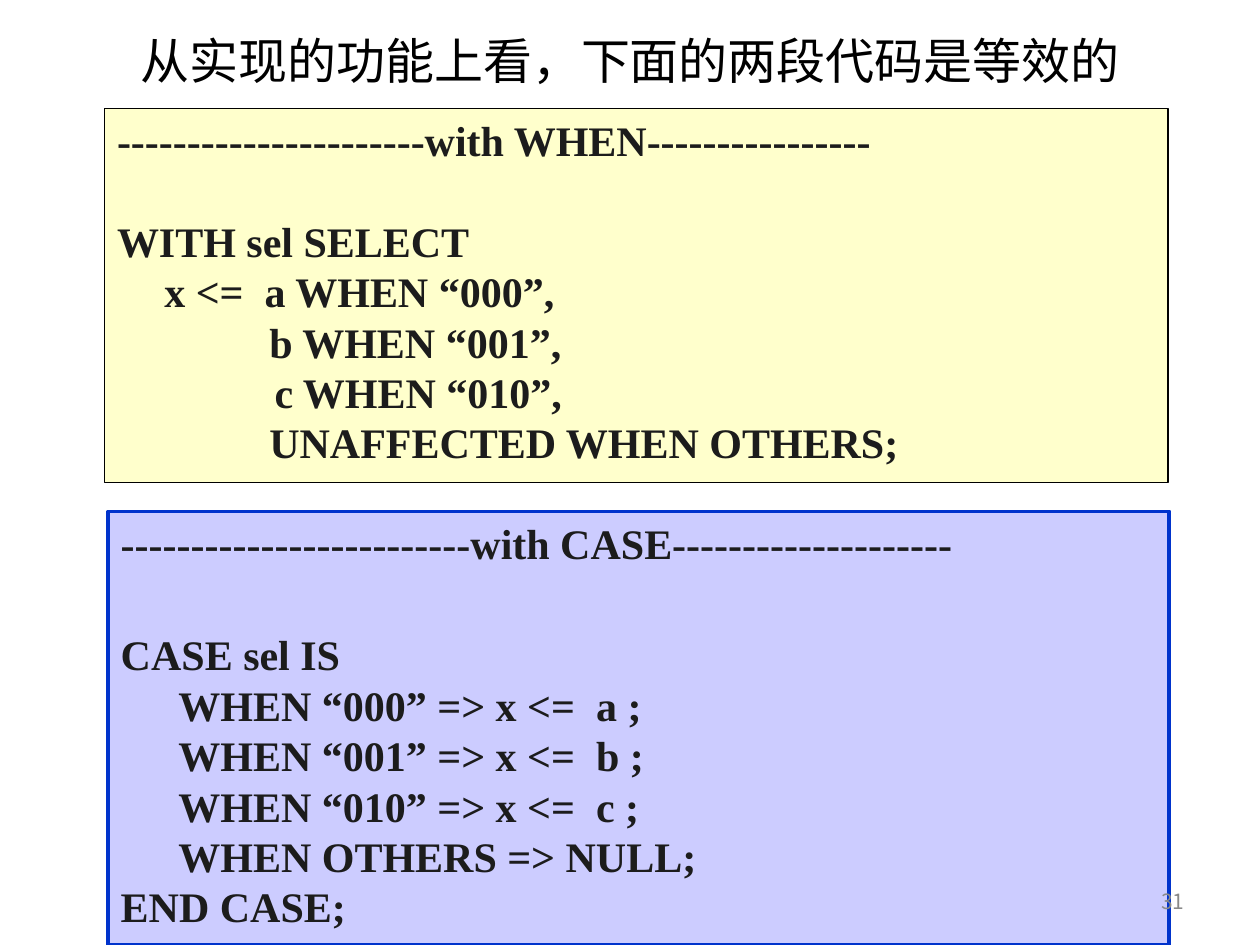
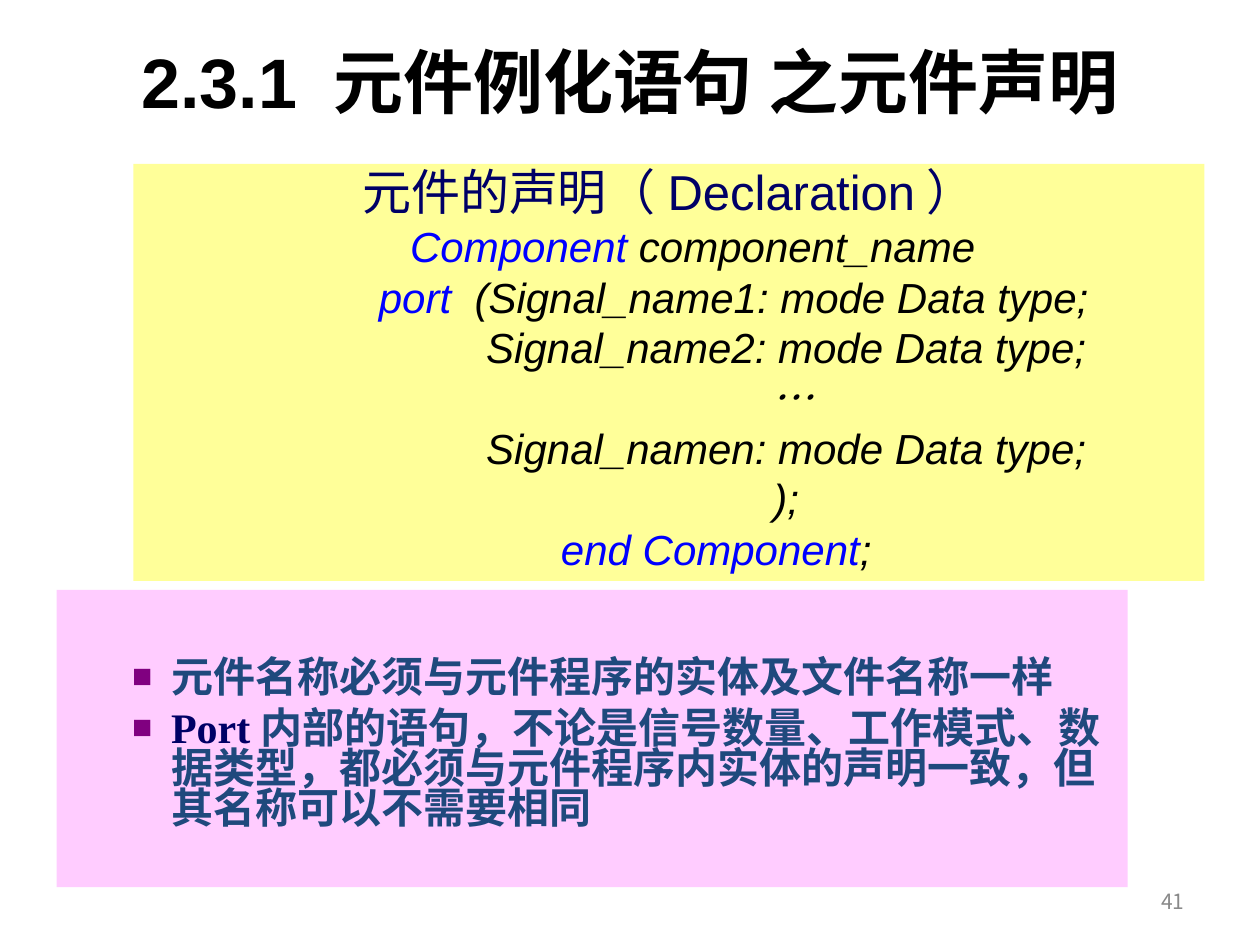
from pptx import Presentation
from pptx.dml.color import RGBColor
from pptx.enum.shapes import MSO_SHAPE
from pptx.enum.text import MSO_ANCHOR, MSO_AUTO_SIZE, PP_ALIGN
from pptx.oxml.ns import qn
from pptx.util import Pt
from lxml.etree import SubElement


class Theme:
    sans, serif, cjk = "Arial", "Times New Roman", "Noto Sans CJK SC"
    black, code, grey = "000000", "1C1C1C", "898989"
    navy, keyword, note, bullet = "000066", "0000FF", "1F497D", "800080"
    cream, lilac, yellow, pink = "FFFFCC", "CCCCFF", "FFFF99", "FFCCFF"
    frame = "0033CC"
    section, heading, body, number = 40, 28, 24, 12
    line_height, tight = 28.8, 23   # exact line spacing
    inset_x, inset_y = 7.2, 3.6


T = Theme

# ---- Content: code lines are (text, indent, space before) ----
SAME_CODE = dict(title="从实现的功能上看，下面的两段代码是等效的", number="31")
CASE_CODE = [
    ("-" * 25 + "with CASE" + "-" * 20, 0, 0),
    ("CASE sel IS", 0, T.line_height + 6),
    ("WHEN “000” => x <=  a ;", 33, 0),
    ("WHEN “001” => x <=  b ;", 33, 0),
    ("WHEN “010” => x <=  c ;", 33, 0),
    ("WHEN OTHERS => NULL;", 33, 0),
    ("END CASE;", 0, 0),
]
WHEN_CODE = [
    ("-" * 22 + "with WHEN" + "-" * 16, 0, 0),
    ("WITH sel SELECT", 0, T.line_height),
    ("x <=  a WHEN “000”,", 27, 0),
    ("b WHEN “001”,", 87, 0),
    ("c WHEN “010”,", 90, 0),
    ("UNAFFECTED WHEN OTHERS;", 87, 0),
]

DECLARATION = dict(title="2.3.1 元件例化语句 之元件声明", number="41")
SYNTAX_HEAD = "元件的声明（Declaration）"
# (indent, [(text, colour)])
SYNTAX = [
    (27, [("Component ", T.keyword), ("component_name", T.black)]),
    (74, [("port ", T.keyword), (" (Signal_name1: mode Data type;", T.black)]),
    (134, [("Signal_name2: mode Data type;", T.black)]),
    (140, [("…", T.black)]),
    (134, [("Signal_namen: mode Data type;", T.black)]),
    (134, [(");", T.black)]),
    (54, [("end Component", T.keyword), (";", T.black)]),
]
RULES = [
    [("元件名称必须与元件程序的实体及文件名称一样", T.note)],
    [("Port", T.navy),
     ("内部的语句，不论是信号数量、工作模式、数据类型，都必须与元件程序内实体的"
      "声明一致，但其名称可以不需要相同", T.note)],
]

# ---- Places: left, top, width, height ----
CASE_BOX = (61.9, 292.3, 606.2, 247.7)
WHEN_BOX = (59.8, 61.9, 607.7, 213.8)
SYNTAX_BOX = (76.3, 93.6, 612, 238.3)
RULES_BOX = (32.4, 337, 612, 170)
NUMBER_BOX = (516.2, 500.4, 167.8, 28.8)


# ---- Helpers ----
def rgb(value):
    return RGBColor.from_string(value)


def set_frame(tf, anchor, top=T.inset_y):
    tf.word_wrap = True
    tf.auto_size = MSO_AUTO_SIZE.NONE
    tf.vertical_anchor = anchor
    tf.margin_left = tf.margin_right = Pt(T.inset_x)
    tf.margin_top, tf.margin_bottom = Pt(top), Pt(T.inset_y)


def add_run(p, text, size, color, font=T.sans, bold=False, italic=False):
    r = p.add_run()
    r.text = text
    f = r.font
    f.name, f.size, f.bold, f.italic = font, Pt(size), bold, italic
    f.color.rgb = rgb(color)
    SubElement(r._r.get_or_add_rPr(), qn("a:ea")).set("typeface", T.cjk)


def add_paragraph(tf, first, align, indent=0, hanging=0, before=0, line=None):
    p = tf.paragraphs[0] if first else tf.add_paragraph()
    p.alignment = align
    p.space_before, p.space_after = Pt(before), Pt(0)
    if line:
        p.line_spacing = Pt(line)
    pPr = p._p.get_or_add_pPr()
    pPr.set("marL", str(int(Pt(indent))))
    pPr.set("indent", str(int(Pt(-hanging))))
    return p


def add_bullet(p):
    pPr = p._p.get_or_add_pPr()
    color = SubElement(pPr, qn("a:buClr"))
    SubElement(color, qn("a:srgbClr")).set("val", T.bullet)
    SubElement(pPr, qn("a:buSzPct")).set("val", "80000")
    SubElement(pPr, qn("a:buFont")).set("typeface", T.sans)
    SubElement(pPr, qn("a:buChar")).set("char", "■")


def add_panel(s, box, fill, line=None, width=0, top=T.inset_y):
    sp = s.shapes.add_shape(MSO_SHAPE.RECTANGLE, *map(Pt, box))
    sp.shadow.inherit = False
    sp.fill.solid()
    sp.fill.fore_color.rgb = rgb(fill)
    if line:
        sp.line.color.rgb = rgb(line)
        sp.line.width = Pt(width)
    else:
        sp.line.fill.background()
    set_frame(sp.text_frame, MSO_ANCHOR.TOP, top)
    return sp.text_frame


def add_code(tf, lines):
    for i, (text, indent, before) in enumerate(lines):
        p = add_paragraph(tf, i == 0, PP_ALIGN.JUSTIFY, indent,
                          before=before, line=T.line_height)
        add_run(p, text, T.body, T.code, T.serif, bold=True)


def add_slide(prs, content, top, height, size, bold=False):
    s = prs.slides.add_slide(prs.slide_layouts[5])
    title = s.shapes.title
    title.left, title.top, title.width, title.height = map(
        Pt, (36, top, 648, height))
    set_frame(title.text_frame, MSO_ANCHOR.MIDDLE)
    p = add_paragraph(title.text_frame, True, PP_ALIGN.CENTER)
    add_run(p, content["title"], size, T.black, bold=bold)

    tf = s.shapes.add_textbox(*map(Pt, NUMBER_BOX)).text_frame
    set_frame(tf, MSO_ANCHOR.MIDDLE)
    p = add_paragraph(tf, True, PP_ALIGN.RIGHT)
    add_run(p, content["number"], T.number, T.grey, T.cjk)
    # The number stays in front of the panels
    return s, tf._txBody.getparent()


def bring_to_front(s, element):
    s.shapes._spTree.append(element)


prs = Presentation()
prs.slide_width, prs.slide_height = Pt(720), Pt(540)

# ---- Two equivalent pieces of code ----
s, number = add_slide(prs, SAME_CODE, -10.8, 90, T.heading)
add_code(add_panel(s, CASE_BOX, T.lilac, T.frame, 2.24), CASE_CODE)
add_code(add_panel(s, WHEN_BOX, T.cream, T.black, 0.74), WHEN_CODE)
bring_to_front(s, number)

# ---- Component declaration ----
s, number = add_slide(prs, DECLARATION, 9.4, 73.4, T.section, bold=True)
tf = add_panel(s, RULES_BOX, T.pink, top=40.6)
for i, runs in enumerate(RULES):
    p = add_paragraph(tf, i == 0, PP_ALIGN.LEFT, 58.3, 22.3,
                      before=6 if i else 0, line=T.tight)
    add_bullet(p)
    for text, color in runs:
        add_run(p, text, T.body, color, T.serif, bold=True)

tf = add_panel(s, SYNTAX_BOX, T.yellow)
p = add_paragraph(tf, True, PP_ALIGN.CENTER, line=29)
add_run(p, SYNTAX_HEAD, T.heading, T.navy)
for indent, runs in SYNTAX:
    p = add_paragraph(tf, False, PP_ALIGN.CENTER, indent, line=T.line_height)
    for text, color in runs:
        font = T.cjk if text == "…" else T.sans
        add_run(p, text, T.body, color, font, italic=True)
bring_to_front(s, number)

prs.save("out.pptx")
